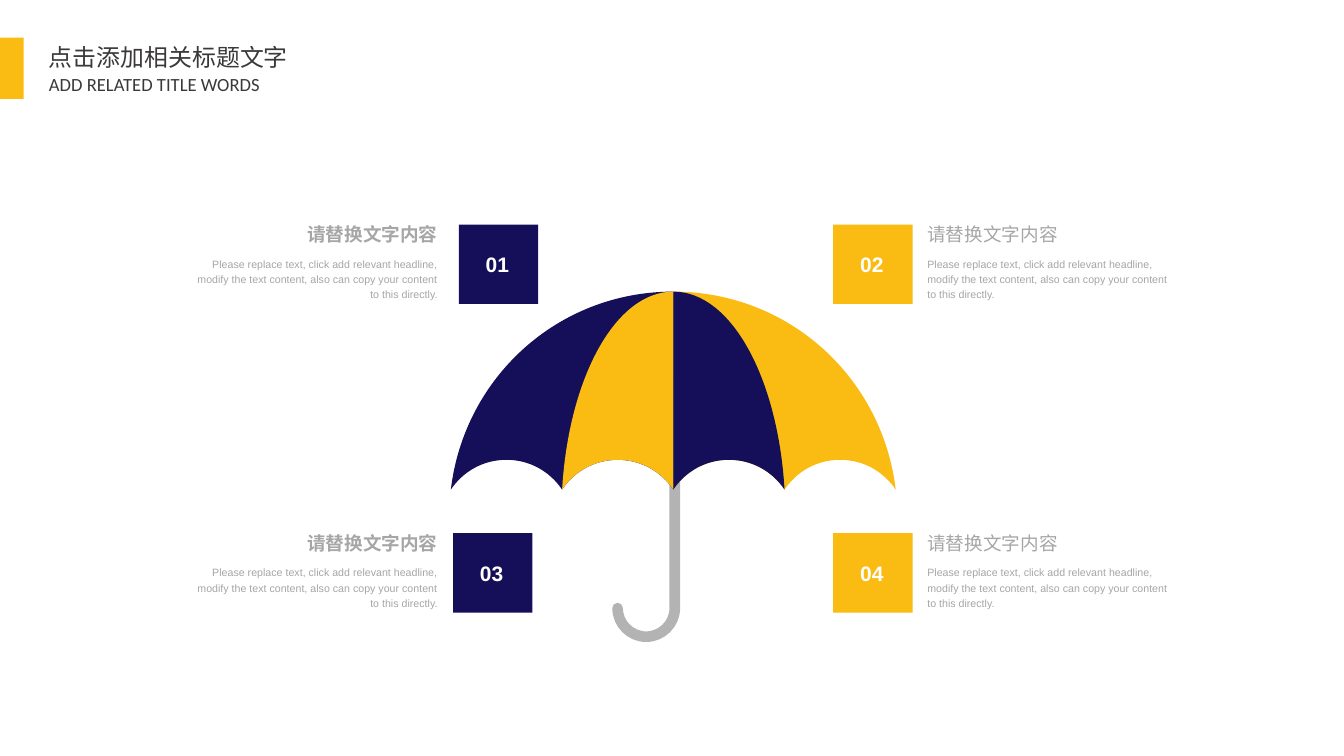
from lxml import etree
from pptx import Presentation
from pptx.dml.color import RGBColor
from pptx.enum.shapes import MSO_SHAPE
from pptx.enum.text import MSO_ANCHOR, PP_ALIGN
from pptx.oxml.ns import qn
from pptx.util import Cm, Pt

RECTANGLE = MSO_SHAPE.RECTANGLE
MIDDLE = MSO_ANCHOR.MIDDLE
LEFT, CENTER, RIGHT = PP_ALIGN.LEFT, PP_ALIGN.CENTER, PP_ALIGN.RIGHT

NAVY, YELLOW, WHITE = "150F59", "FABC12", "FFFFFF"
GREY, HANDLE_GREY, DARK = "A6A6A6", "B3B3B3", "3B3838"
CHINESE_FONT = "Noto Sans CJK SC"

HEADING = "请替换文字内容"
BODY = ("Please replace text, click add relevant headline, modify the text content, "
        "also can copy your content to this directly.")
BADGE_SIZE = 2.11
TEXT_WIDTH = 6.65

# number, colour, left, top and width of each card in cm, badge on the right
CARDS = [
    ("01", NAVY, 4.98, 5.51, 9.32, True),
    ("02", YELLOW, 22.14, 5.51, 9.15, False),
    ("03", NAVY, 4.98, 13.71, 9.17, True),
    ("04", YELLOW, 22.14, 13.71, 9.15, False),
]


def color(hex_string):
    return RGBColor.from_string(hex_string)


def paint(shape, fill):
    """Give a shape a flat fill with neither outline nor shadow."""
    shape.shadow.inherit = False
    shape.fill.solid()
    shape.fill.fore_color.rgb = color(fill)
    shape.line.fill.background()


def add_rectangle(page, left, top, width, height, fill):
    shape = page.shapes.add_shape(RECTANGLE, Cm(left), Cm(top), Cm(width), Cm(height))
    paint(shape, fill)
    return shape


def write(frame, text, size, ink, font="Arial", bold=False, align=LEFT, spacing=1.0):
    para = frame.paragraphs[0]
    para.text = text
    para.alignment = align
    para.line_spacing = spacing
    para.font.name = font
    para.font.size = Pt(size)
    para.font.bold = bold
    para.font.color.rgb = color(ink)
    defaults = para._p.pPr.find(qn("a:defRPr"))
    etree.SubElement(defaults, qn("a:ea")).set("typeface", CHINESE_FONT)


def add_text(page, left, top, width, height, text, size, ink, inset=(0, 0), **style):
    box = page.shapes.add_textbox(Cm(left), Cm(top), Cm(width), Cm(height))
    frame = box.text_frame
    frame.word_wrap = True
    frame.margin_left = frame.margin_right = Cm(inset[0])
    frame.margin_top = frame.margin_bottom = Cm(inset[1])
    write(frame, text, size, ink, **style)


def add_title(page, left, top):
    add_rectangle(page, left, top, 0.63, 1.63, YELLOW)
    lines = [
        (0, 6.96, 1.04, "点击添加相关标题文字", 18, CHINESE_FONT),
        (0.82, 6.2, 0.86, "ADD RELATED TITLE WORDS", 14, "Calibri"),
    ]
    for offset, width, height, text, size, font in lines:
        add_text(page, left + 1.03, top + offset, width, height, text, size,
                 DARK, inset=(0.27, 0.13), font=font)


def add_card(page, left, top, width, number, fill, badge_on_right):
    far_side = left + width
    badge_left = far_side - BADGE_SIZE if badge_on_right else left
    text_left = left if badge_on_right else far_side - TEXT_WIDTH
    align = RIGHT if badge_on_right else LEFT
    add_text(page, text_left, top + 0.02, TEXT_WIDTH, 0.99, HEADING, 14, GREY,
             inset=(0, 0.28), bold=badge_on_right, align=align, spacing=1.2)
    add_text(page, text_left, top + 1.27, TEXT_WIDTH, 1.75, BODY, 8, GREY,
             align=align, spacing=1.2)
    badge = add_rectangle(page, badge_left, top + 0.46, BADGE_SIZE, BADGE_SIZE, fill)
    badge.text_frame.vertical_anchor = MIDDLE
    badge.text_frame.margin_right = Cm(0.31)
    write(badge.text_frame, number, 15.8, WHITE, bold=True, align=CENTER)


def add_outline(page, start, segments, close):
    """Draw segments of one point as lines and of three points as cubic curves."""
    points = [(Cm(x), Cm(y)) for segment in segments for x, y in segment]
    builder = page.shapes.build_freeform(Cm(start[0]), Cm(start[1]), scale=1.0)
    builder.add_line_segments(points, close=close)
    shape = builder.convert_to_shape()
    lines = iter(list(shape._element.iter(qn("a:lnTo"))))
    for segment in segments:
        nodes = [next(lines) for _ in segment]
        if len(nodes) == 3:
            curve = etree.Element(qn("a:cubicBezTo"))
            nodes[0].addprevious(curve)
            for node in nodes:
                curve.append(node[0])
                node.getparent().remove(node)
    return shape


def add_panel(page, center, top, reach, height, scallops, fill):
    """Draw canopy from its middle out to a signed reach, with a scalloped hem."""
    hem = top + height
    crest = hem - 0.79
    shoulder = hem - 0.48
    edge = center + reach
    segments = [[(center + 0.52 * reach, top),
                 (center + 0.94 * reach, top + 0.435 * height), (edge, hem)]]
    step = -reach / scallops
    for index in range(scallops):
        start = edge + index * step
        segments += [
            [(start + 0.11 * step, shoulder), (start + 0.29 * step, crest),
             (start + 0.5 * step, crest)],
            [(start + 0.71 * step, crest), (start + 0.89 * step, shoulder),
             (start + step, hem)],
        ]
    paint(add_outline(page, (center, top), segments, True), fill)


def add_handle(page, stem, top, bottom):
    radius = 0.76
    pull = 0.45 * radius
    middle, tip, bend = stem - radius, stem - 2 * radius, bottom - radius
    segments = [
        [(stem, bend)],
        [(stem, bottom - pull), (stem - pull, bottom), (middle, bottom)],
        [(tip + pull, bottom), (tip, bottom - pull), (tip, bend)],
    ]
    handle = add_outline(page, (stem, top), segments, False)
    handle.shadow.inherit = False
    handle.fill.background()
    handle.line.color.rgb = color(HANDLE_GREY)
    handle.line.width = Pt(8)
    handle._element.spPr.find(qn("a:ln")).set("cap", "rnd")


def add_umbrella(page, left, top, width, height):
    half = width / 2
    center = left + half
    add_handle(page, center + 0.04, top + 2.38, top + height)
    panels = [(half, 2, YELLOW), (-half, 2, NAVY),
              (-half / 2, 1, YELLOW), (half / 2, 1, NAVY)]
    for reach, scallops, fill in panels:
        add_panel(page, center, top, reach, 5.26, scallops, fill)


def main():
    deck = Presentation()
    deck.slide_width, deck.slide_height = Cm(35.71), Cm(20.09)
    page = deck.slides.add_slide(deck.slide_layouts[6])
    add_title(page, 0, 1)
    add_umbrella(page, 11.98, 7.75, 11.82, 9.17)
    for number, fill, left, top, width, badge_on_right in CARDS:
        add_card(page, left, top, width, number, fill, badge_on_right)
    deck.save("out.pptx")


if __name__ == "__main__":
    main()
